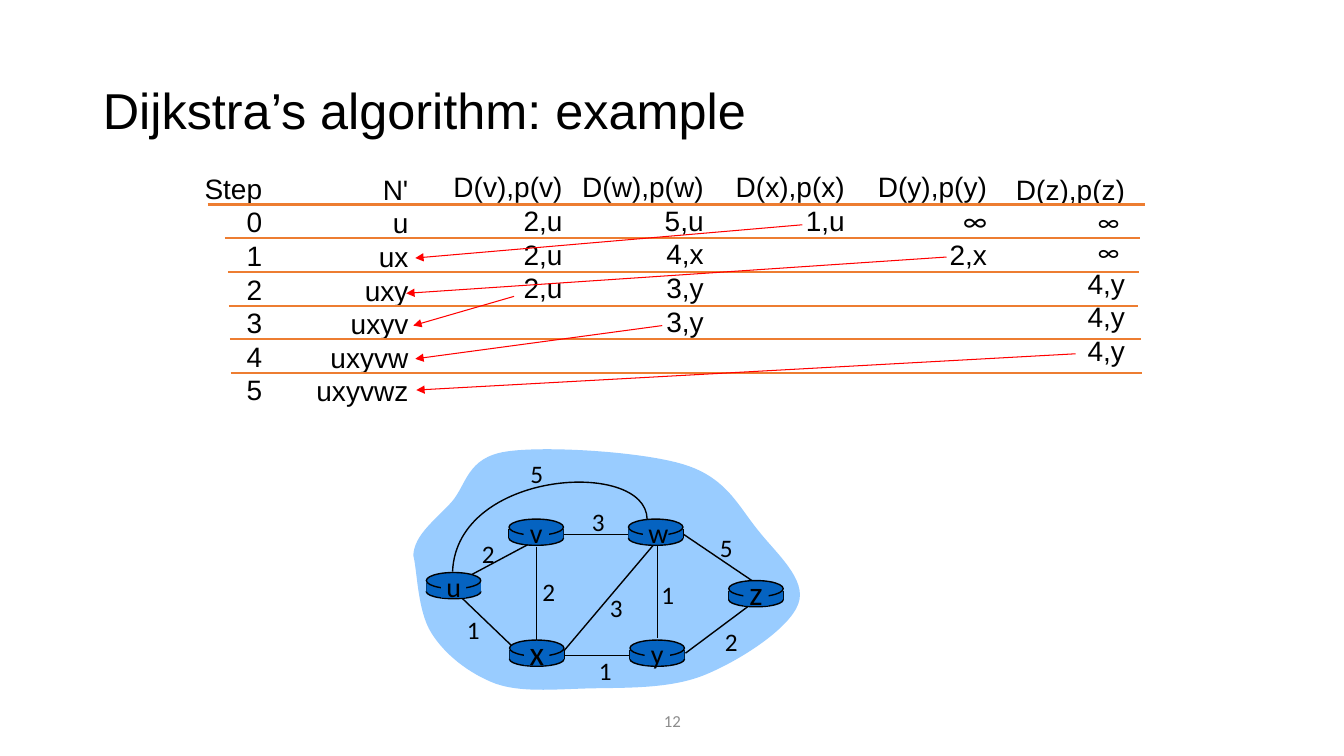
"""Build the slide "Dijkstra's algorithm: example"."""
from dataclasses import dataclass
from typing import NamedTuple

import lxml.etree
import pptx
import pptx.dml.color
import pptx.enum.shapes
import pptx.enum.text
import pptx.oxml.ns
import pptx.shapes.autoshape
import pptx.slide
import pptx.util

RGB = pptx.dml.color.RGBColor
SHAPE = pptx.enum.shapes.MSO_SHAPE
ALIGN = pptx.enum.text.PP_ALIGN
ANCHOR = pptx.enum.text.MSO_ANCHOR
qn = pptx.oxml.ns.qn

BLACK = RGB(0x00, 0x00, 0x00)
GREY = RGB(0x8C, 0x8C, 0x8C)
ORANGE = RGB(0xED, 0x7D, 0x31)
RED = RGB(0xFF, 0x00, 0x00)
CLOUD_BLUE = RGB(0x99, 0xCC, 0xFF)
ROUTER_BLUE = RGB(0x05, 0x63, 0xC1)

prs = pptx.Presentation()
prs.slide_width = pptx.util.Inches(13.333)
prs.slide_height = pptx.util.Inches(7.5)
CELL = prs.slide_height / 75  # square grid, 75 rows high
ROW_STEP = 3.34               # table row height in cells


class Point(NamedTuple):
    """A place on the grid."""
    x: float
    y: float


class Column(NamedTuple):
    """A right-aligned column of the distance table."""
    right: float
    top: float
    width: float
    lines: list[str]
    infinity_size: int = 20


class Router(NamedTuple):
    """A network node: centre, top edge and letter size."""
    name: str
    x: float
    top: float
    size: int = 20


@dataclass
class Link:
    """A straight link between two routers and its cost."""
    start: Point
    end: Point
    cost: str
    label: Point


COLUMNS = [
    Column(27, 16.5, 7.8, ["Step", "0", "1", "2", "3", "4", "5"]),
    Column(41.5, 16.6, 11.2, ["N'", "u", "ux", "uxy", "uxyv", "uxyvw", "uxyvwz"]),
    Column(56.8, 16.35, 13, ["D(v),p(v)", "2,u", "2,u", "2,u"]),
    Column(70.8, 16.35, 14.4, ["D(w),p(w)", "5,u", "4,x", "3,y", "3,y"]),
    Column(84.8, 16.35, 13, ["D(x),p(x)", "1,u"]),
    Column(98.9, 16.35, 13, ["D(y),p(y)", "∞", "2,x"]),
    Column(112.6, 16.6, 13, ["D(z),p(z)", "∞ ", "∞ ", "4,y", "4,y", "4,y"], 18),
]
RULES = [(20.6, 113.6), (22.3, 113.1), (22.6, 113),
         (22.7, 112.9), (22.8, 113.2), (22.9, 113.3)]
CHOICES = [
    (Point(79.6, 22.3), Point(41.2, 25.6)),
    (Point(93.9, 25.5), Point(40.3, 29.1)),
    (Point(51, 29.4), Point(41, 32.3)),
    (Point(65.7, 32.3), Point(41.2, 35.6)),
    (Point(106.7, 35.1), Point(41.3, 38.7)),
]
ROUTERS = [
    Router("u", 45, 56.8), Router("y", 65.2, 63.5), Router("x", 53.25, 63.5, 24),
    Router("w", 65.05, 51.5), Router("v", 53.2, 51.5), Router("z", 75, 57.6, 24),
]
LINKS = [
    Link(Point(46.8, 57), Point(52.8, 53.8), "2", Point(48.45, 54.9)),
    Link(Point(53.2, 54.3), Point(53.2, 63.6), "2", Point(54.45, 58.7)),
    Link(Point(50.7, 64), Point(45.9, 59.4), "1", Point(46.95, 62.4)),
    Link(Point(56, 64.5), Point(64.8, 54.1), "3", Point(61.15, 60.3)),
    Link(Point(62.5, 65), Point(56.1, 65), "1", Point(60.05, 66.5)),
    Link(Point(65.2, 54.2), Point(65.2, 63.3), "1", Point(66.25, 59)),
    Link(Point(68, 64.8), Point(74.3, 60.1), "2", Point(72.55, 63.6)),
    Link(Point(74.6, 57.6), Point(67.8, 53), "5", Point(72.05, 54.3)),
    Link(Point(62.4, 53), Point(56, 53), "3", Point(59.35, 51.7)),
]
ARC = [(64.2, 51.5), (64.1, 45.5), (45.3, 46.6), (44.9, 56.7)]
ARC_LABEL = Point(53.25, 47)
CLOUD = [
    (41, 55.1), (41.1, 53), (43.3, 51.5), (44.8, 49.8),
    (46.3, 48.1), (46.3, 45.4), (50.2, 44.8), (54, 44.2), (63.8, 44.8), (67.9, 46.1),
    (72.1, 47.4), (73.3, 50.3), (75.2, 52.6), (77, 54.9), (80.1, 57.5), (79.2, 59.9),
    (78.3, 62.4), (73.3, 65.6), (69.8, 67), (66.3, 68.4), (61.7, 68.2), (58.2, 68.3),
    (54.8, 68.4), (51.6, 68.7), (49.1, 67.8), (46.5, 66.8), (44.1, 64.9), (42.8, 62.8),
    (41.4, 60.6), (41.4, 56.6), (41, 55.1),
]


def emu(cells: float) -> pptx.util.Emu:
    """Turn grid cells into a length."""
    return pptx.util.Emu(round(cells * CELL))


def add_run(p, text: str, size: float, font: str, color: RGB = BLACK) -> None:
    """Append one formatted run to a paragraph."""
    r = p.add_run()
    r.text = text
    r.font.size, r.font.name = pptx.util.Pt(size), font
    r.font.color.rgb = color


def add_label(s: pptx.slide.Slide, text: str, centre: Point, size: float,
              width: float = 3.4, color: RGB = BLACK) -> None:
    """Write a short text centred on a point."""
    height = 1 + size / 6
    tf = s.shapes.add_textbox(emu(centre.x - width / 2), emu(centre.y - height / 2),
                              emu(width), emu(height)).text_frame
    tf.word_wrap, tf.vertical_anchor = False, ANCHOR.MIDDLE
    tf.paragraphs[0].alignment = ALIGN.CENTER
    add_run(tf.paragraphs[0], text, size, "Calibri", color)


def add_column(s: pptx.slide.Slide, col: Column) -> None:
    """Write one column of the distance table."""
    tf = s.shapes.add_textbox(emu(col.right - col.width), emu(col.top), emu(col.width),
                              emu(1 + ROW_STEP * len(col.lines))).text_frame
    tf.word_wrap = False
    for i, text in enumerate(col.lines):
        p = tf.add_paragraph() if i else tf.paragraphs[0]
        p.alignment = ALIGN.RIGHT
        infinite = "∞" in text
        add_run(p, text, col.infinity_size if infinite else 20,
                "Calibri" if infinite else "Arial")


def add_line(s: pptx.slide.Slide, start: Point, end: Point, color: RGB = BLACK,
             width: float = 1, arrow: bool = False) -> None:
    """Draw a straight line, with an arrowhead at its end if asked."""
    sp = s.shapes.add_connector(pptx.enum.shapes.MSO_CONNECTOR.STRAIGHT,
                                emu(start.x), emu(start.y), emu(end.x), emu(end.y))
    sp.line.color.rgb, sp.line.width = color, pptx.util.Pt(width)
    if arrow:
        lxml.etree.SubElement(sp.line._get_or_add_ln(), qn("a:tailEnd"), type="triangle")
    lxml.etree.SubElement(sp._element.spPr, qn("a:effectLst"))


def paint(sp: pptx.shapes.autoshape.Shape, fill: RGB | None, outlined: bool) -> None:
    """Set the fill and outline of a shape and drop its shadow."""
    sp.shadow.inherit = False
    if fill is None:
        sp.fill.background()
    else:
        sp.fill.solid()
        sp.fill.fore_color.rgb = fill
    if outlined:
        sp.line.color.rgb, sp.line.width = BLACK, pptx.util.Pt(1)
    else:
        sp.line.fill.background()


def add_curve(s: pptx.slide.Slide, knots: list[tuple[float, float]], fill: RGB | None,
              closed: bool) -> None:
    """Draw a chain of cubic Bezier curves, three knots to a curve."""
    start, *rest = [(emu(x), emu(y)) for x, y in knots]
    builder = s.shapes.build_freeform(*start)
    builder.add_line_segments(rest, close=closed)
    sp = builder.convert_to_shape()
    segments = list(sp._element.iter(qn("a:lnTo")))
    for k in range(0, len(segments), 3):
        curve = lxml.etree.Element(qn("a:cubicBezTo"))
        segments[k].addprevious(curve)
        for segment in segments[k:k + 3]:
            curve.append(segment[0])
            segment.getparent().remove(segment)
    paint(sp, fill, outlined=not closed)


def add_router(s: pptx.slide.Slide, router: Router) -> None:
    """Draw a router as a flat cylinder with its letter."""
    def part(kind: SHAPE, drop: float, width: float, height: float, outlined: bool) -> None:
        """Add one centred piece of the cylinder."""
        paint(s.shapes.add_shape(kind, emu(router.x - width / 2), emu(router.top + drop),
                                 emu(width), emu(height)), ROUTER_BLUE, outlined)

    part(SHAPE.OVAL, 1.2, 5.4, 1.4, True)
    for x in (router.x - 2.7, router.x + 2.7):
        add_line(s, Point(x, router.top + 1), Point(x, router.top + 1.9))
    part(SHAPE.RECTANGLE, 1, 5.4, 0.9, False)
    part(SHAPE.OVAL, 0, 5.4, 1.6, True)
    part(SHAPE.RECTANGLE, 0.2, 2.5, 2.3, False)
    drop = 1.15 if router.size > 20 else 1.35
    add_label(s, router.name, Point(router.x, router.top + drop), router.size)


def add_title(s: pptx.slide.Slide, text: str) -> None:
    """Place and fill the title placeholder."""
    sp = s.shapes.title
    sp.left, sp.top, sp.width, sp.height = emu(9.2), emu(4), emu(115), emu(14.5)
    tf = sp.text_frame
    tf.auto_size, tf.vertical_anchor = pptx.enum.text.MSO_AUTO_SIZE.NONE, ANCHOR.MIDDLE
    p = tf.paragraphs[0]
    p.alignment, p.line_spacing = ALIGN.LEFT, 0.9
    add_run(p, text, 36, "Arial")


s = prs.slides.add_slide(prs.slide_layouts[5])
add_title(s, "Dijkstra’s algorithm: example")
add_label(s, "12", Point(66.7, 71.5), 12, 45, GREY)
for column in COLUMNS:
    add_column(s, column)
for i, (left, right) in enumerate(RULES):
    y = 20.3 + i * ROW_STEP
    add_line(s, Point(left, y), Point(right, y), ORANGE, 1.5 if i else 2.25)
add_curve(s, CLOUD, CLOUD_BLUE, closed=True)
for link in LINKS:
    add_line(s, link.start, link.end)
add_curve(s, ARC, None, closed=False)
for router in ROUTERS:
    add_router(s, router)
for link in LINKS:
    add_label(s, link.cost, link.label, 18)
add_label(s, "5", ARC_LABEL, 18)
for start, end in CHOICES:
    add_line(s, start, end, RED, 0.75, arrow=True)
prs.save("out.pptx")
